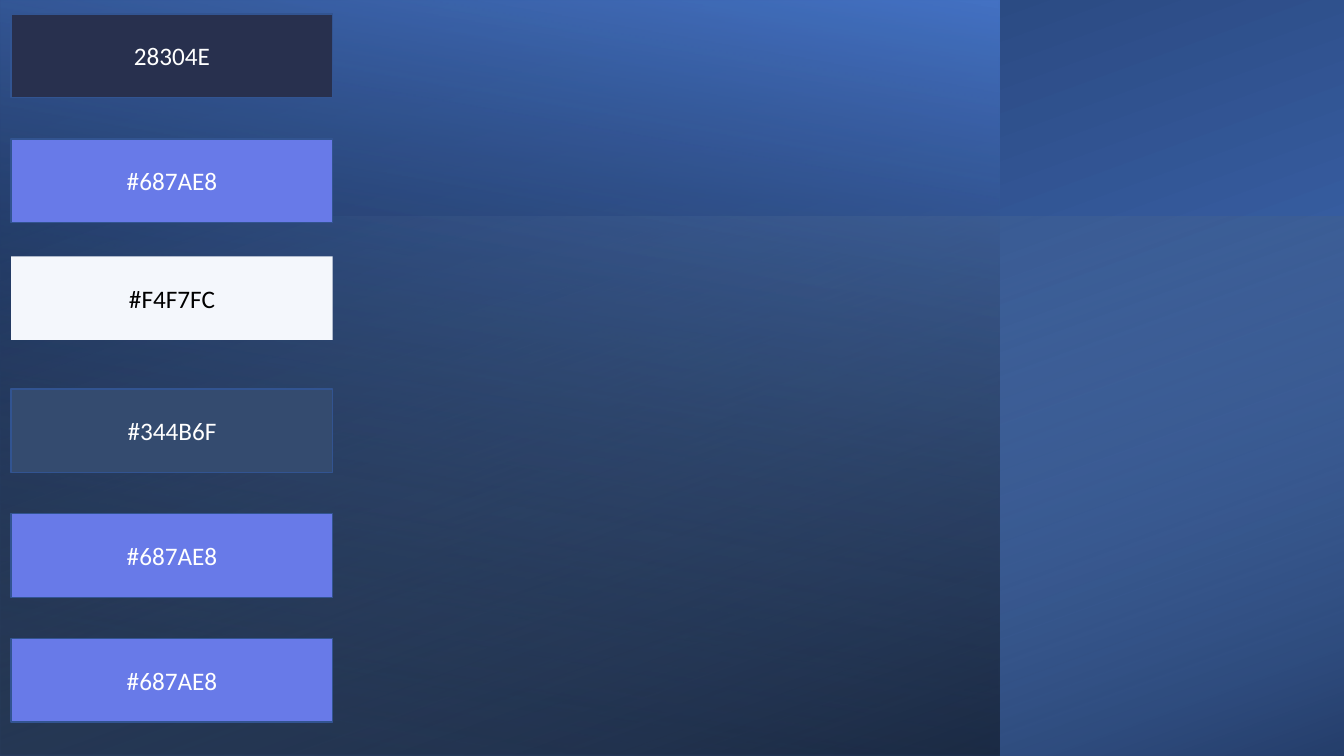
from lxml import etree
from pptx import Presentation
from pptx import util as u
from pptx.dml.color import RGBColor
from pptx.enum import shapes, text
from pptx.oxml import ns

SLIDE_WIDTH, SLIDE_HEIGHT = 960, 540
SWATCH = {"left": 8, "width": 229.7, "height": 59.8}
LABEL_FORMAT = {"name": "Calibri", "size": u.Pt(18)}

# Visible left, top, width, height; rotation; angle; stops (position, colour, opacity)
PANELS = [
    (0, 0, 960, 540, 270, 200, [(8, "4472C4", 100), (100, "203864", 100)]),
    (0, 0, 714, 540, 180, 80, [(8, "000000", 52), (100, "4472C4", 100)]),
    (0, 155, 960, 385, 270, 20, [(0, "9DC3E6", 0), (100, "000000", 46)]),
]

# Top, label, fill, text colour, outline
SWATCHES = [
    (9.9, "28304E", "28304E", "FFFFFF", "325491"),
    (99.2, "#687AE8", "687AE8", "FFFFFF", "325491"),
    (183.1, "#F4F7FC", "F4F7FC", "000000", None),
    (277.8, "#344B6F", "344B6F", "FFFFFF", "325491"),
    (367, "#687AE8", "687AE8", "FFFFFF", "325491"),
    (456, "#687AE8", "687AE8", "FFFFFF", "325491"),
]


def color(hex_value):
    return RGBColor.from_string(hex_value)


def add_rectangle(slide, left, top, width, height):
    shape = slide.shapes.add_shape(
        shapes.MSO_SHAPE.RECTANGLE, u.Pt(left), u.Pt(top), u.Pt(width), u.Pt(height))
    shape.shadow.inherit = False
    return shape


def set_gradient(shape, angle, stops):
    """Give the shape a linear gradient with opacity at each stop."""
    gradient = etree.Element(ns.qn("a:gradFill"), rotWithShape="1")
    stop_list = etree.SubElement(gradient, ns.qn("a:gsLst"))
    for position, hex_value, opacity in stops:
        stop = etree.SubElement(stop_list, ns.qn("a:gs"), pos=str(position * 1000))
        stop_color = etree.SubElement(stop, ns.qn("a:srgbClr"), val=hex_value)
        if opacity < 100:
            etree.SubElement(stop_color, ns.qn("a:alpha"), val=str(opacity * 1000))
    etree.SubElement(gradient, ns.qn("a:lin"), ang=str(angle * 60000), scaled="0")
    shape.fill.background()
    properties = shape.element.spPr
    properties.replace(properties.find(ns.qn("a:noFill")), gradient)


def add_panel(slide, left, top, width, height, rotation, angle, stops):
    # A quarter turn swaps the sides around the same centre
    if rotation % 180:
        left, top = left + (width - height) / 2, top + (height - width) / 2
        width, height = height, width
    panel = add_rectangle(slide, left, top, width, height)
    panel.rotation = rotation
    panel.element.spPr.find(ns.qn("a:xfrm")).set("flipH", "1")
    set_gradient(panel, angle, stops)
    panel.line.fill.background()


def add_swatch(slide, top, label, fill, text_color, outline):
    swatch = add_rectangle(slide, SWATCH["left"], top, SWATCH["width"], SWATCH["height"])
    swatch.fill.solid()
    swatch.fill.fore_color.rgb = color(fill)
    if outline:
        swatch.line.color.rgb = color(outline)
        swatch.line.width = u.Pt(1)
    else:
        swatch.line.fill.background()
    frame = swatch.text_frame
    frame.vertical_anchor = text.MSO_ANCHOR.MIDDLE
    paragraph = frame.paragraphs[0]
    paragraph.alignment = text.PP_ALIGN.CENTER
    run = paragraph.add_run()
    run.text = label
    for attribute, value in LABEL_FORMAT.items():
        setattr(run.font, attribute, value)
    run.font.color.rgb = color(text_color)


def main():
    presentation = Presentation()
    presentation.slide_width = u.Pt(SLIDE_WIDTH)
    presentation.slide_height = u.Pt(SLIDE_HEIGHT)
    slide = presentation.slides.add_slide(presentation.slide_layouts[6])

    # Layered gradient backdrop
    for panel in PANELS:
        add_panel(slide, *panel)

    # Colour palette
    for swatch in SWATCHES:
        add_swatch(slide, *swatch)

    presentation.save("out.pptx")


if __name__ == "__main__":
    main()
